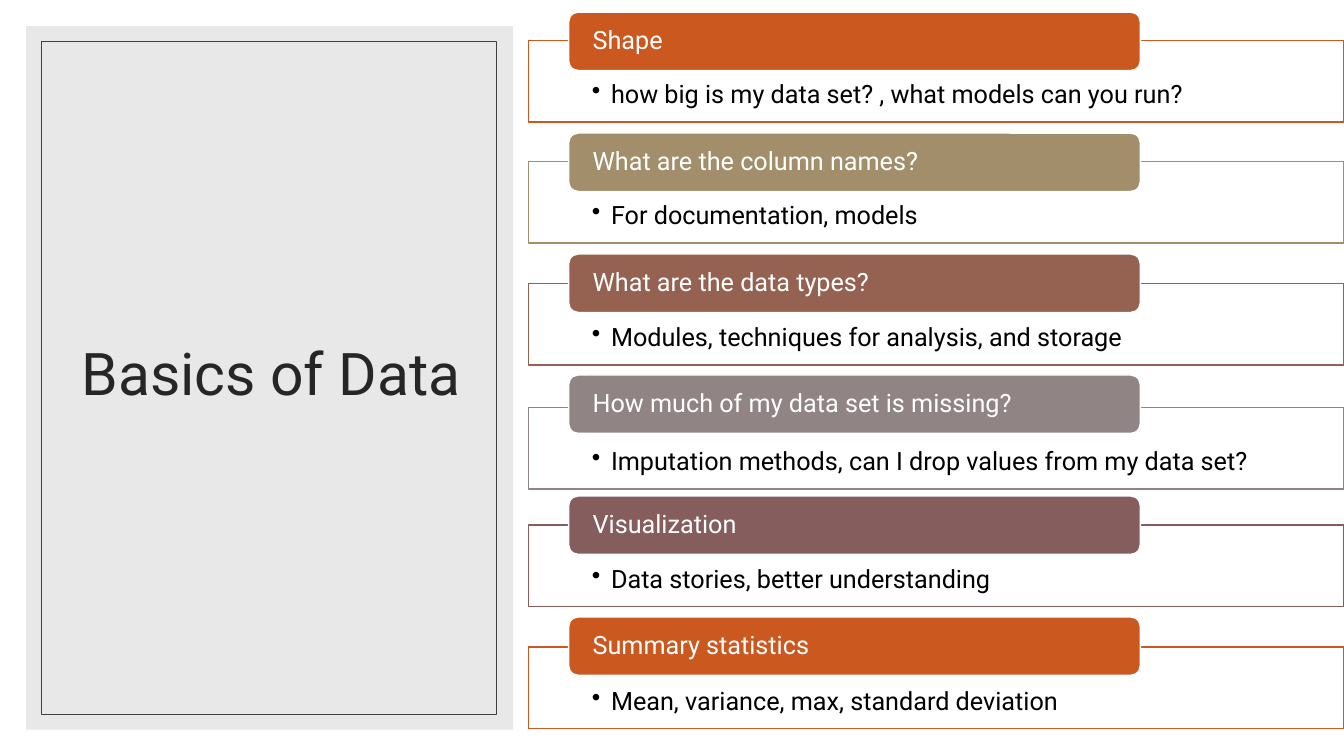
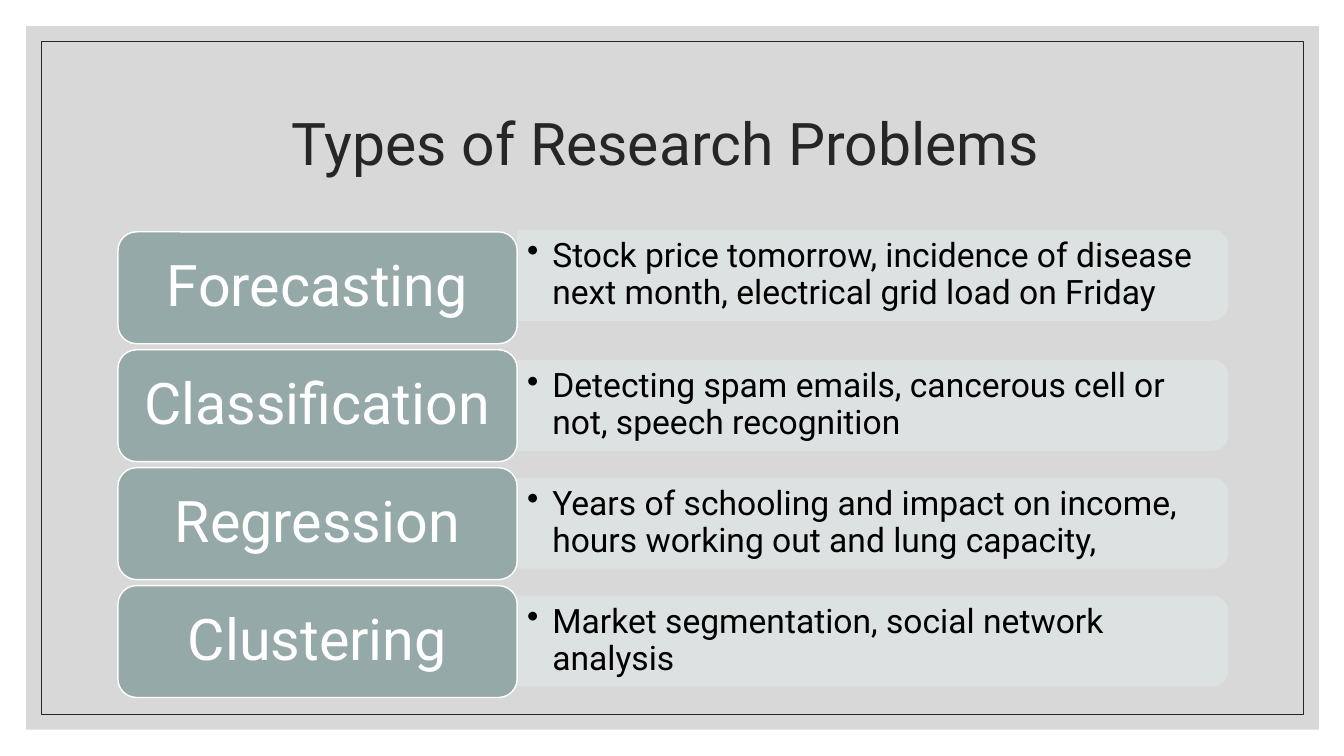
from dataclasses import dataclass
from typing import NamedTuple, Optional

from lxml import etree
from pptx import Presentation
from pptx import slide as sl
from pptx import util as u
from pptx.dml import color
from pptx.enum import shapes, text
from pptx.oxml import ns
from pptx.shapes import autoshape

# Shared scale, fonts and colours
EMU_PER_PX = 9144
FONT = "Roboto"
WHITE, BLACK, INK, CHARCOAL = "FFFFFF", "000000", "262626", "404040"
PANEL_LIGHT, PANEL_GREY = "D9D9D9", "BFBFBF"
SAGE, MIST = "96A9A9", "DDE2E2"
TITLE_ONLY = 5


class Box(NamedTuple):
    left: int
    top: int
    width: int
    height: int

    def emu(self) -> list[u.Emu]:
        return [px(value) for value in self]

    def inset(self, gap: int) -> "Box":
        return Box(self.left + gap, self.top + gap,
                   self.width - 2 * gap, self.height - 2 * gap)


class Margins(NamedTuple):
    left: int = 10
    top: int = 5
    right: int = 10
    bottom: int = 5


@dataclass(frozen=True)
class Line:
    colour: str
    width: float = 1
    opacity: int = 100


@dataclass(frozen=True)
class TextStyle:
    size: int
    colour: str
    align: text.PP_ALIGN = text.PP_ALIGN.LEFT
    anchor: text.MSO_ANCHOR = text.MSO_ANCHOR.MIDDLE
    margins: Margins = Margins()
    bullet_indent: int = 0


@dataclass(frozen=True)
class Question:
    heading: str
    detail: str
    colour: str
    box_top: int


@dataclass(frozen=True)
class Problem:
    name: str
    examples: str
    raised: int = 0


TITLE = TextStyle(42, INK, text.PP_ALIGN.CENTER)
TAB = TextStyle(18, WHITE, margins=Margins(21, 0, 21, 0))
DETAIL = TextStyle(18, BLACK, anchor=text.MSO_ANCHOR.TOP,
                   margins=Margins(63, 41, 63, 14), bullet_indent=19)
LABEL = TextStyle(41, WHITE, text.PP_ALIGN.CENTER,
                  margins=Margins(17, 9, 17, 9))
EXAMPLES = TextStyle(24, BLACK, bullet_indent=25)

QUESTIONS = [
    Question("Shape", "how big is my data set? , what models can you run?",
             "CB581F", 40),
    Question("What are the column names?", "For documentation, models",
             "A28E6A", 160),
    Question("What are the data types?",
             "Modules, techniques for analysis, and storage", "956251", 281),
    Question("How much of my data set is missing?",
             "Imputation methods, can I drop values from my data set?",
             "918485", 404),
    Question("Visualization", "Data stories, better understanding",
             "855D5D", 521),
    Question("Summary statistics", "Mean, variance, max, standard deviation",
             "CB581F", 642),
]

PROBLEMS = [
    Problem("Forecasting",
            "Stock price tomorrow, incidence of disease next month, "
            "electrical grid load on Friday", raised=12),
    Problem("Classification",
            "Detecting spam emails, cancerous cell or not, speech recognition"),
    Problem("Regression",
            "Years of schooling and impact on income, "
            "hours working out and lung capacity,"),
    Problem("Clustering", "Market segmentation, social network analysis"),
]


# Drawing helpers
def px(value: int) -> u.Emu:
    return u.Emu(value * EMU_PER_PX)


def rgb(value: str) -> color.RGBColor:
    return color.RGBColor.from_string(value)


def set_opacity(solid_fill: etree._Element, percent: int) -> None:
    if percent < 100:
        alpha = etree.SubElement(solid_fill[0], ns.qn("a:alpha"))
        alpha.set("val", str(percent * 1000))


def add_shape(slide: sl.Slide, kind: shapes.MSO_SHAPE, box: Box,
              fill: Optional[str] = None, opacity: int = 100,
              line: Optional[Line] = None) -> autoshape.Shape:
    shape = slide.shapes.add_shape(kind, *box.emu())
    shape.shadow.inherit = False
    properties = shape.element.spPr
    if fill:
        shape.fill.solid()
        shape.fill.fore_color.rgb = rgb(fill)
        set_opacity(properties.find(ns.qn("a:solidFill")), opacity)
    else:
        shape.fill.background()
    if line:
        shape.line.color.rgb = rgb(line.colour)
        shape.line.width = u.Pt(line.width)
        outline = properties.find(ns.qn("a:ln"))
        set_opacity(outline.find(ns.qn("a:solidFill")), line.opacity)
    else:
        shape.line.fill.background()
    return shape


def write(shape: autoshape.Shape, words: str, style: TextStyle) -> None:
    frame = shape.text_frame
    frame.word_wrap = True
    frame.auto_size = text.MSO_AUTO_SIZE.NONE
    frame.vertical_anchor = style.anchor
    (frame.margin_left, frame.margin_top,
     frame.margin_right, frame.margin_bottom) = map(px, style.margins)
    paragraph = frame.paragraphs[0]
    paragraph.alignment = style.align
    paragraph.line_spacing = 0.9
    if style.bullet_indent:
        properties = paragraph._p.get_or_add_pPr()
        indent = px(style.bullet_indent)
        properties.set("marL", str(indent))
        properties.set("indent", str(-indent))
        bullet = etree.SubElement(properties, ns.qn("a:buChar"))
        bullet.set("char", "•")
    run = paragraph.add_run()
    run.text = words
    run.font.name = FONT
    run.font.size = u.Pt(style.size)
    run.font.color.rgb = rgb(style.colour)


def add_panel(slide: sl.Slide, outer: Box, fill: str, inner: Box,
              line_colour: str) -> None:
    add_shape(slide, shapes.MSO_SHAPE.RECTANGLE, outer, fill, opacity=60)
    add_shape(slide, shapes.MSO_SHAPE.RECTANGLE, inner,
              line=Line(line_colour, 0.5))


def place_title(slide: sl.Slide, words: str, box: Box) -> None:
    title = slide.shapes.title
    title.left, title.top, title.width, title.height = box.emu()
    write(title, words, TITLE)
    # Bring the title in front of the panel
    title.element.getparent().append(title.element)


def add_question(slide: sl.Slide, question: Question, tab_top: int) -> None:
    detail = add_shape(slide, shapes.MSO_SHAPE.RECTANGLE,
                       Box(524, question.box_top, 809, 81), WHITE, 90,
                       Line(question.colour))
    write(detail, question.detail, DETAIL)
    tab = add_shape(slide, shapes.MSO_SHAPE.ROUNDED_RECTANGLE,
                    Box(564, tab_top, 567, 58), question.colour,
                    line=Line(WHITE))
    write(tab, question.heading, TAB)


def add_problem(slide: sl.Slide, problem: Problem, top: int) -> None:
    label_box = Box(117, top, 396, 111)
    length, thickness = 704, 89
    middle_x = label_box.left + label_box.width + length // 2
    middle_y = top + label_box.height // 2 - problem.raised
    # Turned a quarter so that the two round corners face right
    strip = add_shape(slide, shapes.MSO_SHAPE.ROUND_2_SAME_RECTANGLE,
                      Box(middle_x - thickness // 2, middle_y - length // 2,
                          thickness, length),
                      MIST, 90, Line(MIST, opacity=90))
    strip.rotation = 90
    examples = slide.shapes.add_textbox(
        *Box(513, middle_y - 40, 700, 80).emu())
    write(examples, problem.examples, EXAMPLES)
    label = add_shape(slide, shapes.MSO_SHAPE.ROUNDED_RECTANGLE, label_box,
                      SAGE, line=Line(WHITE))
    write(label, problem.name, LABEL)


# Slides
def build_basics(slide: sl.Slide) -> None:
    add_panel(slide, Box(26, 26, 483, 698), PANEL_LIGHT,
              Box(41, 41, 451, 668), CHARCOAL)
    place_title(slide, "Basics of Data", Box(63, 61, 412, 624))
    for index, question in enumerate(QUESTIONS):
        add_question(slide, question, 12 + 120 * index)


def build_problems(slide: sl.Slide) -> None:
    outer = Box(26, 26, 1282, 698)
    add_panel(slide, outer, PANEL_GREY, outer.inset(15), INK)
    place_title(slide, "Types of Research Problems ", Box(117, 70, 1100, 150))
    for index, problem in enumerate(PROBLEMS):
        add_problem(slide, problem, 230 + 117 * index)


def main() -> None:
    presentation = Presentation()
    presentation.slide_width = u.Inches(13.33)
    presentation.slide_height = u.Inches(7.5)
    layout = presentation.slide_layouts[TITLE_ONLY]
    for build in (build_basics, build_problems):
        build(presentation.slides.add_slide(layout))
    presentation.save("out.pptx")


if __name__ == "__main__":
    main()
